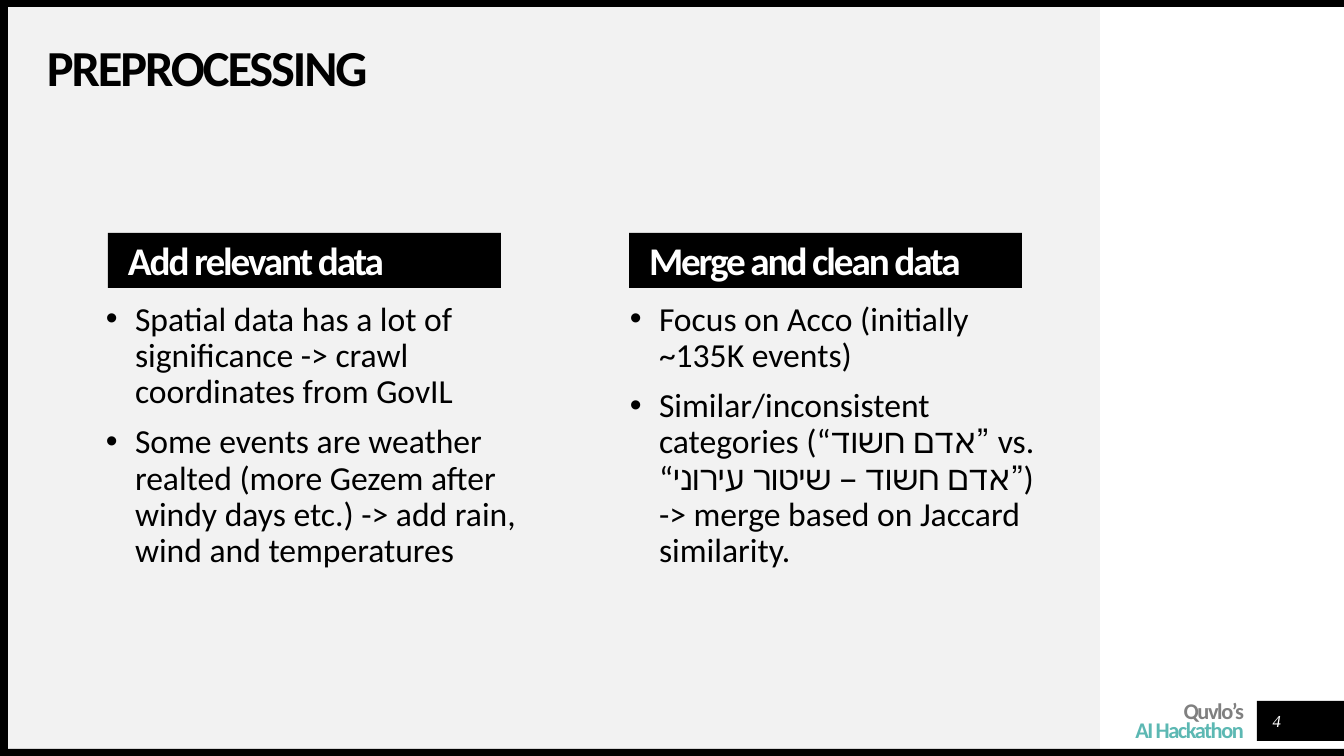
from pptx import Presentation
from pptx.dml.color import RGBColor
from pptx.enum.shapes import MSO_SHAPE
from pptx.enum.text import MSO_ANCHOR, PP_ALIGN
from pptx.oxml.ns import qn
from pptx.util import Emu, Pt
from lxml import etree

RECTANGLE = MSO_SHAPE.RECTANGLE
TOP, MIDDLE = MSO_ANCHOR.TOP, MSO_ANCHOR.MIDDLE
LEFT, CENTER, RIGHT = PP_ALIGN.LEFT, PP_ALIGN.CENTER, PP_ALIGN.RIGHT
PX = 914400 / 100.8
SLIDE_WIDTH, SLIDE_HEIGHT, FRAME = 1344, 756, 8
BULLET_INDENT = 29

BLACK, WHITE = RGBColor(0, 0, 0), RGBColor(255, 255, 255)
THEME = {
    "panel": RGBColor(0xF2, 0xF2, 0xF2),
    "title": {"name": "Calibri", "size": Pt(36), "bold": True, "color": BLACK, "tracking": -150},
    "heading": {"name": "Calibri", "size": Pt(28), "bold": True, "color": WHITE, "tracking": -150},
    "body": {"name": "Calibri", "size": Pt(24), "color": BLACK},
    "owner": {"name": "Calibri", "size": Pt(16), "bold": True,
              "color": RGBColor(0x80, 0x80, 0x80), "tracking": -100},
    "event": {"name": "Calibri", "size": Pt(16), "bold": True,
              "color": RGBColor(0x5C, 0xB8, 0xB3), "tracking": -100},
    "number": {"name": "Times New Roman", "size": Pt(12), "italic": True, "color": WHITE},
}


def add_rectangle(slide, box, color):
    shape = slide.shapes.add_shape(RECTANGLE, *(Emu(round(value * PX)) for value in box))
    shape.shadow.inherit = False
    shape.fill.solid()
    shape.fill.fore_color.rgb = color
    shape.line.fill.background()
    return shape


def write_text(shape, lines, anchor=TOP, align=LEFT, spacing=0.9, insets=(0, 0), bulleted=False):
    """Fill a shape with (text, style) lines; insets are left and top in px."""
    frame = shape.text_frame
    frame_format = {"word_wrap": True, "vertical_anchor": anchor,
                    "margin_left": Emu(round(insets[0] * PX)),
                    "margin_top": Emu(round(insets[1] * PX)),
                    "margin_right": 0, "margin_bottom": 0}
    for name, value in frame_format.items():
        setattr(frame, name, value)
    for index, (text, style) in enumerate(lines):
        paragraph = frame.paragraphs[0] if index == 0 else frame.add_paragraph()
        paragraph.alignment = align
        paragraph.line_spacing = spacing
        if bulleted:
            if index:
                paragraph.space_before = Pt(10)
            properties = paragraph._p.get_or_add_pPr()
            indent = round(BULLET_INDENT * PX)
            properties.set("marL", str(indent))
            properties.set("indent", str(-indent))
            etree.SubElement(properties, qn("a:buFont")).set("typeface", "Arial")
            etree.SubElement(properties, qn("a:buChar")).set("char", "•")
        run = paragraph.add_run()
        run.text = text
        for name, value in THEME[style].items():
            if name == "color":
                run.font.color.rgb = value
            elif name == "tracking":
                run._r.get_or_add_rPr().set("spc", str(value))
            else:
                setattr(run.font, name, value)


presentation = Presentation()
presentation.slide_width = Emu(round(SLIDE_WIDTH * PX))
presentation.slide_height = Emu(round(SLIDE_HEIGHT * PX))
slide = presentation.slides.add_slide(presentation.slide_layouts[6])

# Panel, page number block and black frame
add_rectangle(slide, (FRAME, 7, 1092, 742), THEME["panel"])
add_rectangle(slide, (1257, 701, 87, 40), BLACK)
for frame_bar in ((0, 749, SLIDE_WIDTH, 7), (0, 0, SLIDE_WIDTH, 7), (0, 0, FRAME, SLIDE_HEIGHT)):
    add_rectangle(slide, frame_bar, BLACK)

# Title, footer and page number
labels = [
    ((47, 47, 1014, 47), [("PREPROCESSING", "title")], {"anchor": MIDDLE}),
    ((1061, 700, 183, 44), [("Quvlo’s", "owner"), ("AI Hackathon", "event")],
     {"align": RIGHT, "spacing": Pt(14), "insets": (0, 4)}),
    ((1262, 706, 30, 30), [("4", "number")],
     {"anchor": MIDDLE, "align": CENTER, "spacing": 1.0}),
]
for box, lines, options in labels:
    text_box = slide.shapes.add_textbox(*(Emu(round(value * PX)) for value in box))
    write_text(text_box, lines, **options)

# Two columns, each a heading bar over a bulleted list
columns = [
    (108, "Add relevant data", 106, 423, [
        "Spatial data has a lot of significance -> crawl coordinates from GovIL",
        "Some events are weather realted (more Gezem after windy days etc.) "
        "-> add rain, wind and temperatures"]),
    (629, "Merge and clean data", 630, 415, [
        "Focus on Acco (initially ~135K events)",
        "Similar/inconsistent categories (“אדם חשוד” vs. “אדם חשוד – שיטור עירוני”) "
        "-> merge based on Jaccard similarity."]),
]
for heading_left, heading, list_left, list_width, items in columns:
    heading_bar = add_rectangle(slide, (heading_left, 233, 393, 55), BLACK)
    write_text(heading_bar, [(heading, "heading")], anchor=MIDDLE, insets=(20, 4))
    list_box = (list_left, 302, list_width, 278)
    bullet_list = slide.shapes.add_textbox(*(Emu(round(value * PX)) for value in list_box))
    write_text(bullet_list, [(item, "body") for item in items], bulleted=True)

presentation.save("out.pptx")
